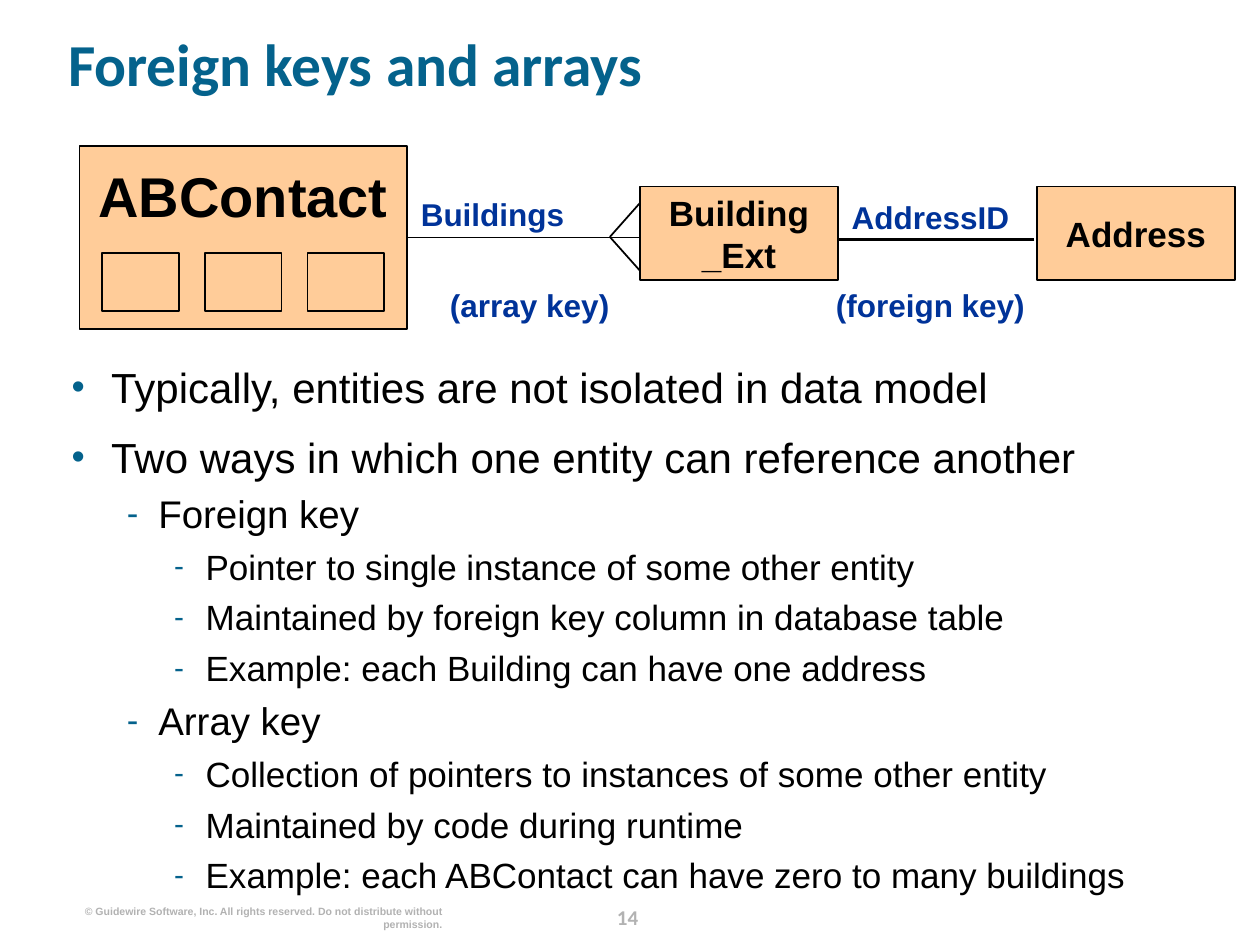
from lxml import etree
from pptx import Presentation
from pptx.dml.color import RGBColor
from pptx.enum.shapes import MSO_CONNECTOR, MSO_SHAPE
from pptx.enum.text import MSO_ANCHOR, PP_ALIGN
from pptx.oxml.ns import qn
from pptx.util import Pt

LEFT, CENTER, RIGHT = PP_ALIGN.LEFT, PP_ALIGN.CENTER, PP_ALIGN.RIGHT
TOP, MIDDLE = MSO_ANCHOR.TOP, MSO_ANCHOR.MIDDLE
RECTANGLE, STRAIGHT = MSO_SHAPE.RECTANGLE, MSO_CONNECTOR.STRAIGHT
RIGHT_SIDE = 3
TITLE_ONLY = 5

COLORS = {"accent": "04628C", "entity": "FFCC99", "key": "003399",
          "ink": "000000", "footer": "B2B2B2"}

LEVELS = [
    {"size": 24, "margin": 22.5, "hang": 22.5, "before": 11, "mark": "•", "mark_size": 90},
    {"size": 22, "margin": 49.5, "hang": 18, "before": 5, "mark": "-", "mark_size": 90},
    {"size": 20, "margin": 76.5, "hang": 18, "before": 5, "mark": "-", "mark_size": 85},
]

POINTS = [
    (0, "Typically, entities are not isolated in data model"),
    (0, "Two ways in which one entity can reference another"),
    (1, "Foreign key"),
    (2, "Pointer to single instance of some other entity"),
    (2, "Maintained by foreign key column in database table"),
    (2, "Example: each Building can have one address"),
    (1, "Array key"),
    (2, "Collection of pointers to instances of some other entity"),
    (2, "Maintained by code during runtime"),
    (2, "Example: each ABContact can have zero to many buildings"),
]

KEY_LABELS = [
    ("Buildings", (240.5, 111.6, 96.5, 21.6), LEFT),
    ("AddressID", (486.7, 113, 106.6, 21.6), LEFT),
    ("(array key)", (235.4, 163.4, 134.6, 21.6), CENTER),
    ("(foreign key)", (469.4, 163.4, 124.6, 21.6), CENTER),
]


class SlideBuilder:
    """Holds the deck style and draws each kind of element on one slide."""

    def __init__(self, deck):
        self.slide = deck.slides.add_slide(deck.slide_layouts[TITLE_ONLY])
        self.shapes = self.slide.shapes

    def color(self, name):
        return RGBColor.from_string(COLORS[name])

    def frame(self, shape, anchor=TOP, top_inset=0):
        frame = shape.text_frame
        frame.word_wrap = True
        frame.vertical_anchor = anchor
        frame.margin_left = frame.margin_right = frame.margin_bottom = 0
        frame.margin_top = Pt(top_inset)
        return frame

    def style(self, paragraph, size, color, bold=True, face="Arial", align=LEFT):
        paragraph.alignment = align
        font = paragraph.font
        font.name, font.size, font.bold = face, Pt(size), bold
        font.color.rgb = self.color(color)

    def title(self, text, box):
        title = self.shapes.title
        title.left, title.top, title.width, title.height = map(Pt, box)
        frame = self.frame(title, MIDDLE)
        frame.text = text
        self.style(frame.paragraphs[0], 34, "accent", face="Calibri")
        frame.paragraphs[0].line_spacing = 0.9

    def label(self, text, box, size, color, align, face="Arial", anchor=TOP):
        frame = self.frame(self.shapes.add_textbox(*map(Pt, box)), anchor)
        frame.text = text
        self.style(frame.paragraphs[0], size, color, face=face, align=align)

    def entity(self, box, text="", size=20, anchor=MIDDLE, top_inset=0):
        entity = self.shapes.add_shape(RECTANGLE, *map(Pt, box))
        entity.shadow.inherit = False
        entity.fill.solid()
        entity.fill.fore_color.rgb = self.color("entity")
        entity.line.color.rgb = self.color("ink")
        entity.line.width = Pt(1)
        if text:
            frame = self.frame(entity, anchor, top_inset)
            frame.text = text
            self.style(frame.paragraphs[0], size, "ink", align=CENTER)
        return entity

    def line(self, start, end, width=1, source=None):
        line = self.shapes.add_connector(STRAIGHT, *map(Pt, (*start, *end)))
        line.line.color.rgb = self.color("ink")
        line.line.width = Pt(width)
        etree.SubElement(line._element.spPr, qn("a:effectLst"))
        if source is not None:
            line.begin_connect(source, RIGHT_SIDE)

    def bullets(self, points, box):
        frame = self.frame(self.shapes.add_textbox(*map(Pt, box)))
        for index, (depth, text) in enumerate(points):
            level = LEVELS[depth]
            paragraph = frame.add_paragraph() if index else frame.paragraphs[0]
            paragraph.text = text
            paragraph.level = depth
            if index:
                paragraph.space_before = Pt(level["before"])
            props = paragraph._p.get_or_add_pPr()
            props.set("marL", str(Pt(level["margin"])))
            props.set("indent", str(-Pt(level["hang"])))
            mark_color = etree.SubElement(props, qn("a:buClr"))
            etree.SubElement(mark_color, qn("a:srgbClr"), val=COLORS["accent"])
            etree.SubElement(props, qn("a:buSzPct"), val=str(level["mark_size"] * 1000))
            etree.SubElement(props, qn("a:buFont"), typeface="Arial")
            etree.SubElement(props, qn("a:buChar"), char=level["mark"])
            self.style(paragraph, level["size"], "ink", bold=False)


def main():
    deck = Presentation()
    deck.slide_width, deck.slide_height = Pt(720), Pt(540)
    page = SlideBuilder(deck)
    page.title("Foreign keys and arrays", (38.9, 9.4, 655.2, 58.3))
    page.bullets(POINTS, (41, 206.6, 653.8, 293))

    contact = page.entity((45.4, 83.5, 187.2, 104.4), "ABContact", 32, TOP, 9)
    for column in range(3):
        page.entity((58.3 + 58.7 * column, 144.7, 43.9, 33.1))

    page.line((232.6, 135.7), (375.8, 135.7), source=contact)
    page.line((591.1, 136.8), (374.4, 136.8), width=1.5)
    for prong_y in (115.9, 154.8):
        page.line((348.5, 135.4), (365.8, prong_y))
    for name, left in (("Building\v_Ext", 365.8), ("Address", 592.6)):
        page.entity((left, 106.6, 113, 53.3), name)

    for text, box, align in KEY_LABELS:
        page.label(text, box, 18, "key", align)

    page.label("© Guidewire Software, Inc. All rights reserved. "
               "Do not distribute without permission.",
               (43.9, 517.3, 208.8, 14.4), 6, "footer", RIGHT)
    page.label("14", (340.6, 515, 36, 18), 12, "footer", CENTER, "Calibri", MIDDLE)
    deck.save("out.pptx")


if __name__ == "__main__":
    main()
